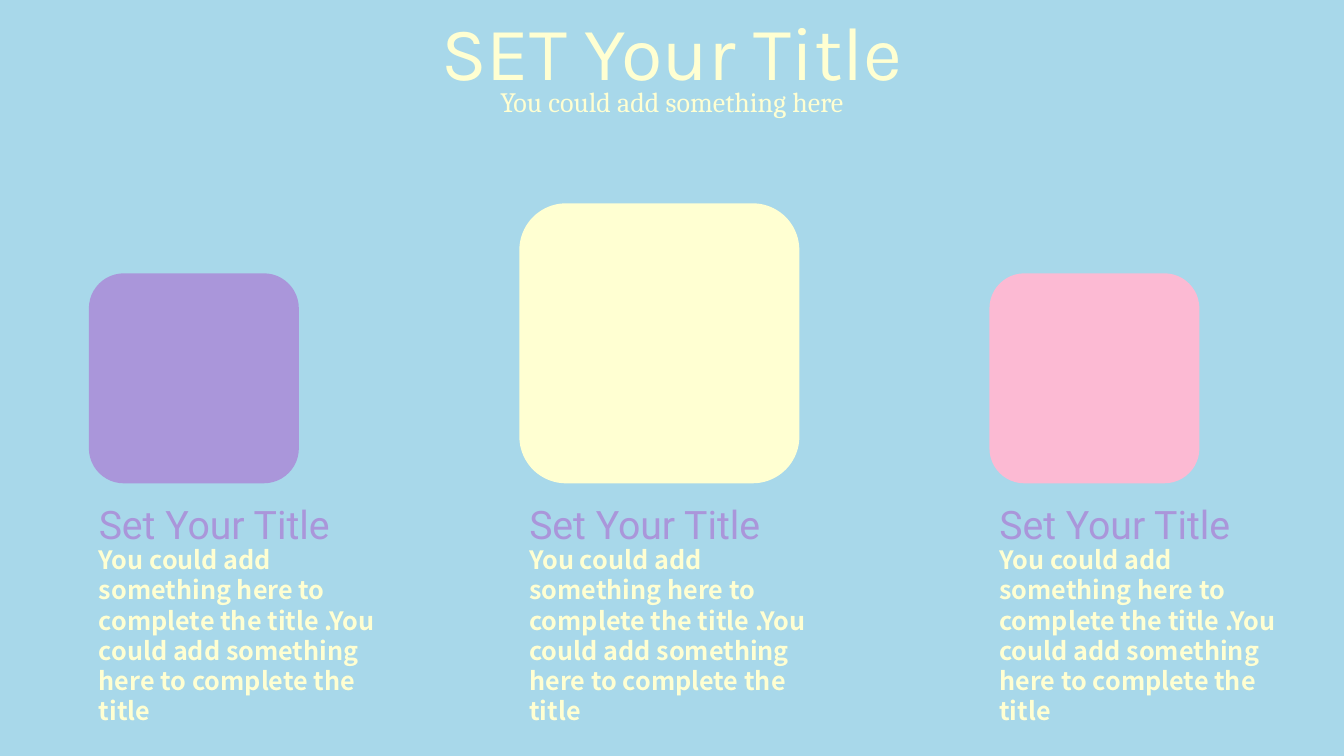
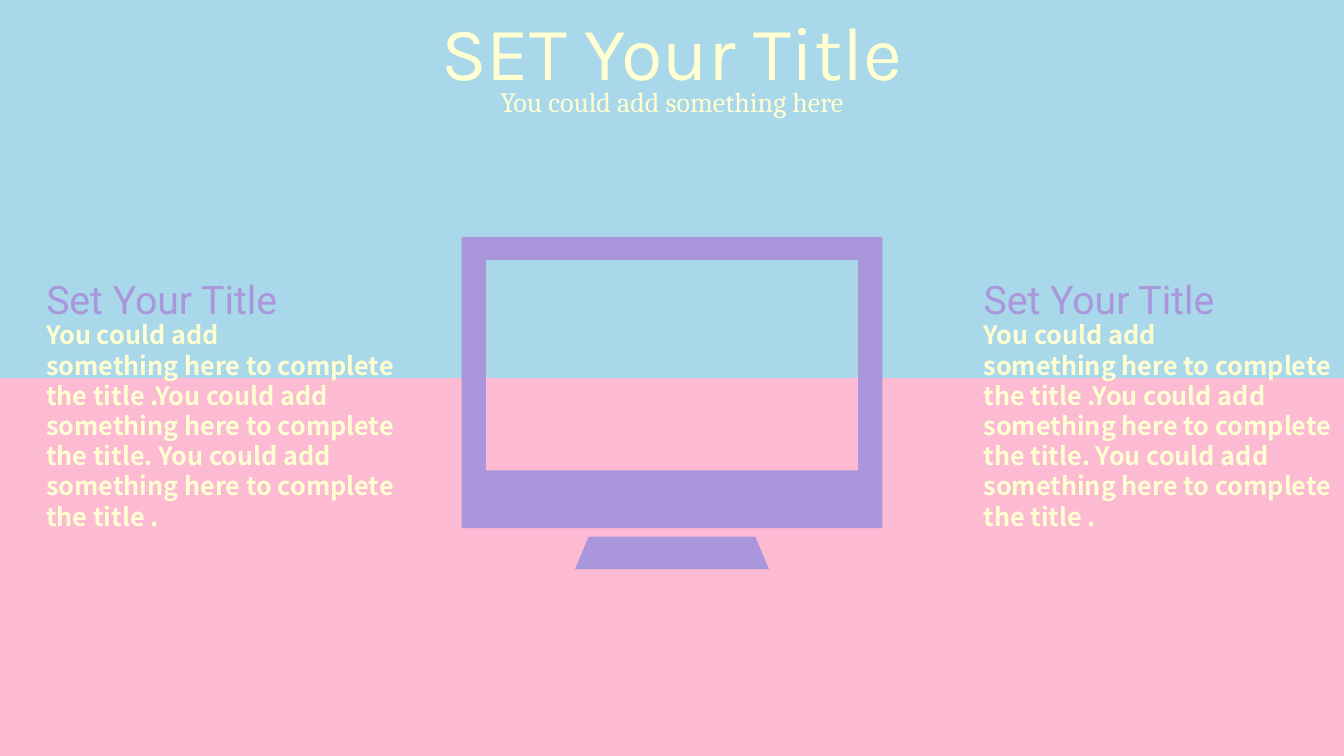
from pptx import Presentation
from pptx.dml.color import RGBColor
from pptx.enum.shapes import MSO_SHAPE
from pptx.enum.text import MSO_ANCHOR, MSO_AUTO_SIZE, PP_ALIGN
from pptx.util import Pt

SKY, CREAM, PINK, PURPLE = "A8D8EA", "FFFFD2", "FCBAD3", "AA96DA"
WIDTH, HEIGHT = 960, 540

# Text styles: font, size, colour, bold
TITLE_STYLE = ("Karla", 54, CREAM, False)
SUBTITLE_STYLE = ("Cambria", 20, CREAM, False)
HEADING_STYLE = ("Roboto", 28, PURPLE, False)
BODY_STYLE = ("Noto Sans CJK SC", 18, CREAM, True)

TITLE = "SET Your Title"
SUBTITLE = "You could add something here"
HEADING = "Set Your Title"
SHORT_BODY = [
    "You could add",
    "something here to complete the title .You could add something here "
    "to complete the title",
]
LONG_BODY = [
    "You could add",
    "something here to complete the title .You could add something here "
    "to complete the title. You could add",
    "something here to complete the title .",
]

# Tiles: left, side, colour; all stand on one line
TILES = [(63.5, 150, PURPLE), (371, 200, CREAM), (706.75, 150, PINK)]
TILE_BOTTOM = 345.25
TILE_TEXT_TOP = 353.5
SIDE_TEXT_LEFTS = [26, 695.5]
SIDE_TEXT_TOP = 193

# Monitor outlines: top, half width at top, bottom, half width at bottom
MONITOR = [
    (169.25, 150.25, 377.25, 150.25),
    (185.75, 133, 336, 133),
    (383.25, 59.5, 406.5, 69.25),
]


def color(value):
    """Turn a hex string into a colour."""
    return RGBColor.from_string(value)


def place(shape, left, top, width, height):
    """Move and size a shape, in points."""
    shape.left, shape.top = Pt(left), Pt(top)
    shape.width, shape.height = Pt(width), Pt(height)


def paint(shape, fill):
    """Give a shape a plain fill without line or shadow."""
    shape.shadow.inherit = False
    shape.fill.solid()
    shape.fill.fore_color.rgb = color(fill)
    shape.line.fill.background()


def write(shape, lines, style, alignment=PP_ALIGN.LEFT):
    """Fill a shape with paragraphs in one text style."""
    name, size, text_color, bold = style
    frame = shape.text_frame
    frame.text = "\n".join(lines)
    frame.word_wrap = True
    frame.auto_size = MSO_AUTO_SIZE.SHAPE_TO_FIT_TEXT
    frame.vertical_anchor = MSO_ANCHOR.TOP
    for paragraph in frame.paragraphs:
        paragraph.alignment = alignment
        paragraph.space_before = Pt(0)
        for run in paragraph.runs:
            run.font.name, run.font.size, run.font.bold = name, Pt(size), bold
            run.font.color.rgb = color(text_color)


def add_titled_slide(presentation):
    """Add a slide with the shared title and subtitle."""
    slide = presentation.slides.add_slide(presentation.slide_layouts[0])
    title, subtitle = slide.placeholders
    place(title, 265, 0, 430, 72.75)
    write(title, [TITLE], TITLE_STYLE, PP_ALIGN.CENTER)
    place(subtitle, 321.5, 57, 317, 31.5)
    write(subtitle, [SUBTITLE], SUBTITLE_STYLE, PP_ALIGN.CENTER)
    return slide


def add_text_block(slide, left, top, lines, width, height):
    """Add a heading with its body text below."""
    heading = slide.shapes.add_textbox(Pt(left), Pt(top), Pt(200), Pt(41))
    write(heading, [HEADING], HEADING_STYLE)
    body = slide.shapes.add_textbox(
        Pt(left), Pt(top + 31.75), Pt(width), Pt(height))
    write(body, lines, BODY_STYLE)


def add_monitor(slide):
    """Draw a centred monitor: frame, screen opening and stand."""
    builder = None
    for top, top_half, bottom, bottom_half in MONITOR:
        center = WIDTH / 2
        corners = [
            (Pt(center - top_half), Pt(top)),
            (Pt(center + top_half), Pt(top)),
            (Pt(center + bottom_half), Pt(bottom)),
            (Pt(center - bottom_half), Pt(bottom)),
        ]
        if builder is None:
            builder = slide.shapes.build_freeform(*corners[0])
        else:
            builder.move_to(*corners[0])
        builder.add_line_segments(corners[1:], close=True)
    paint(builder.convert_to_shape(), PURPLE)


def build_tiles_slide(presentation):
    """Build three tiles with text below each."""
    slide = add_titled_slide(presentation)
    for left, side, fill in TILES:
        tile = slide.shapes.add_shape(
            MSO_SHAPE.ROUNDED_RECTANGLE,
            Pt(left), Pt(TILE_BOTTOM - side), Pt(side), Pt(side))
        paint(tile, fill)
        add_text_block(slide, left, TILE_TEXT_TOP, SHORT_BODY, 229, 116.75)


def build_monitor_slide(presentation):
    """Build a monitor between two text blocks on a half-pink ground."""
    slide = add_titled_slide(presentation)
    band = slide.shapes.add_shape(
        MSO_SHAPE.RECTANGLE, 0, Pt(HEIGHT / 2), Pt(WIDTH), Pt(HEIGHT / 2))
    paint(band, PINK)
    add_monitor(slide)
    for left in SIDE_TEXT_LEFTS:
        add_text_block(slide, left, SIDE_TEXT_TOP, LONG_BODY, 278, 160)


presentation = Presentation()
presentation.slide_width, presentation.slide_height = Pt(WIDTH), Pt(HEIGHT)
background = presentation.slide_master.background.fill
background.solid()
background.fore_color.rgb = color(SKY)
build_tiles_slide(presentation)
build_monitor_slide(presentation)
presentation.save("out.pptx")
